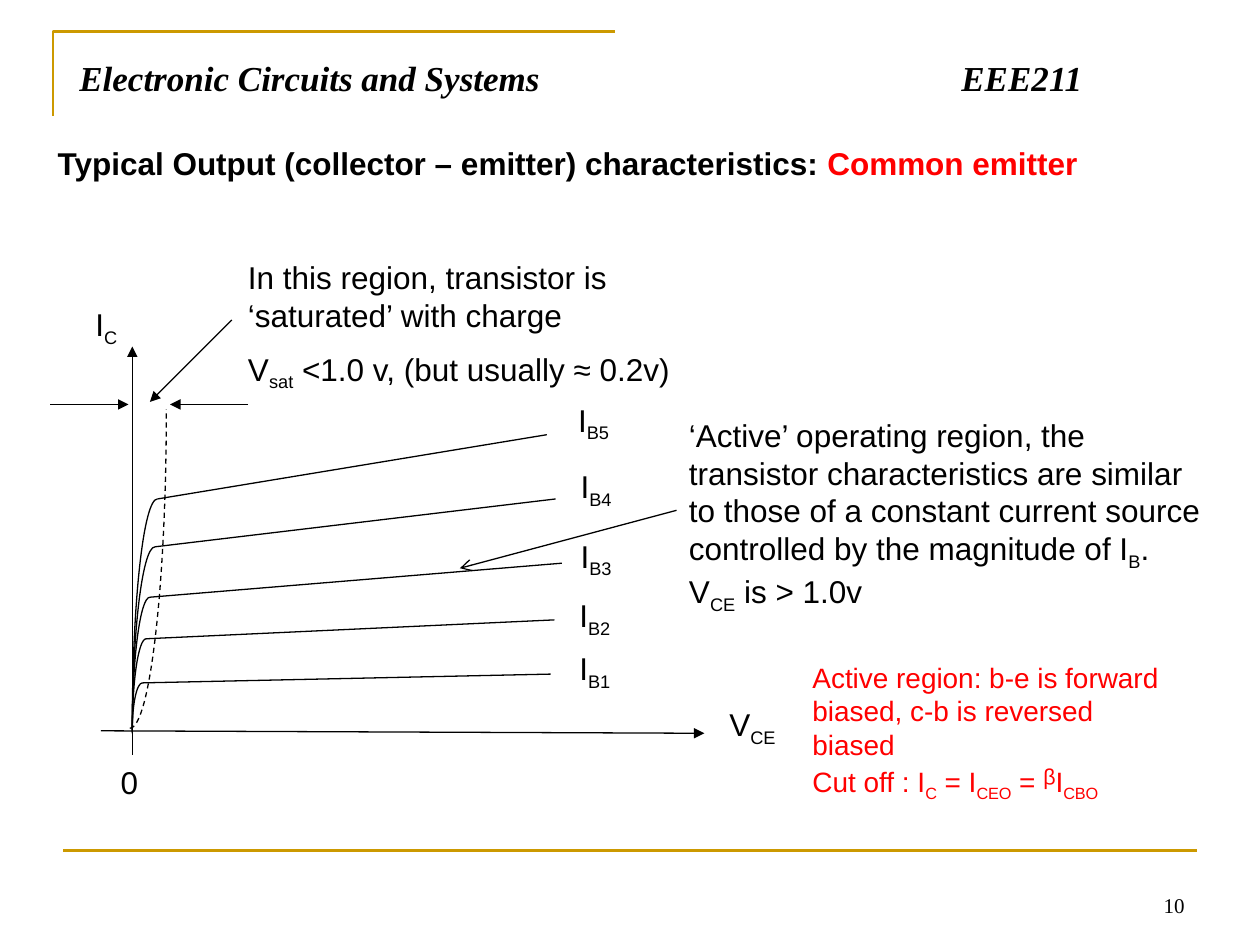
from lxml.etree import SubElement
from pptx import Presentation
from pptx.dml.color import RGBColor
from pptx.enum.dml import MSO_LINE
from pptx.enum.shapes import MSO_CONNECTOR
from pptx.enum.text import MSO_ANCHOR, PP_ALIGN
from pptx.oxml.ns import qn
from pptx.util import Inches, Pt

BLACK, RED, GOLD = "000000", "FF0000", "CC9900"
SERIF, SANS = "Times New Roman", "Arial"

# In all texts, ~ switches subscript on and off.
TITLE = "Electronic Circuits and Systems\t\t\t   \tEEE211"
# box (left, top, width, height), size, colour, paragraphs of (text, own style)
NOTES = [
    ((0.36, 1.09, 8.87, 0.4), 18, BLACK, [
        [("Typical Output (collector – emitter) characteristics: ", {"bold": True}),
         ("Common emitter", {"bold": True, "color": RED})]]),
    ((1.87, 2, 4.03, 1.37), 18, BLACK, [
        [("In this region, transistor is ‘saturated’ with charge", {})],
        [("V~sat~ <1.0 v, (but usually ≈ 0.2v)", {})]]),
    ((5.37, 3.25, 4.34, 1.61), 18, BLACK, [
        [("‘Active’ operating region, the transistor characteristics are similar to those "
          "of a constant current source controlled by the magnitude of I~B~.  V~CE~ is > 1.0v", {})]]),
    ((6.35, 5.19, 3.14, 1.21), 16, RED, [
        [("Active region: b-e is forward biased, c-b is reversed biased", {})],
        [("Cut off : I~C~ = I~CEO~ = ", {}), ("ᵝ", {"size": 18}), ("I~CBO~", {})]]),
]
AXIS_LABELS = [("0", 0.86, 6.01, 0.47), ("I~C~", 0.66, 2.37, 0.47), ("V~CE~", 5.69, 5.55, 0.66)]

ORIGIN_X = 1.05
# base current, label position, knee of the curve, foot of the curve, end of the active line
CURVES = [
    ("I~B1~", (4.5, 5.1), (1.13, 5.42), 5.79, (4.37, 5.35)),
    ("I~B2~", (4.5, 4.68), (1.16, 5.07), 5.8, (4.4, 4.92)),
    ("I~B3~", (4.51, 4.21), (1.19, 4.74), 5.81, (4.46, 4.47)),
    ("I~B4~", (4.51, 3.66), (1.23, 4.34), 5.82, (4.41, 3.96)),
    ("I~B5~", (4.49, 3.13), (1.25, 3.96), 5.78, (4.34, 3.45)),
]
ARROWS = [  # start, end, arrowhead at the end
    ((ORIGIN_X, 5.99), (ORIGIN_X, 2.75), "triangle"),
    ((0.8, 5.8), (5.59, 5.82), "triangle"),
    ((1.97, 3.21), (1.35, 3.21), "triangle"),
    ((0.4, 3.21), (1.02, 3.21), "triangle"),
    ((1.84, 2.54), (1.19, 3.19), "triangle"),
    ((5.37, 4.05), (3.65, 4.51), "arrow"),
]
ARC_HANDLE = 0.55  # control point distance of a quarter ellipse, as a share of its radius


def rgb(color):
    return RGBColor.from_string(color)


def place(shape, box):
    shape.left, shape.top, shape.width, shape.height = map(Inches, box)


def style_line(shape, color, width):
    shape.line.color.rgb = rgb(color)
    shape.line.width = Pt(width)


def add_line(slide, start, end, color=BLACK, width=0.75, arrowhead=None):
    line = slide.shapes.add_connector(MSO_CONNECTOR.STRAIGHT, *map(Inches, start + end))
    style_line(line, color, width)
    if arrowhead:
        SubElement(line.line._get_or_add_ln(), qn("a:tailEnd"), type=arrowhead)
    SubElement(line._element.spPr, qn("a:effectLst"))


def add_outline(slide, points, color=BLACK, width=0.75):
    """Draw an open, unfilled line through the points."""
    first, *others = [tuple(map(Inches, point)) for point in points]
    builder = slide.shapes.build_freeform(*first)
    builder.add_line_segments(others, close=False)
    outline = builder.convert_to_shape()
    outline.fill.background()
    outline.shadow.inherit = False
    style_line(outline, color, width)
    return outline


def add_quarter_arc(slide, start, end):
    """Draw a quarter ellipse that leaves start horizontally and reaches end vertically."""
    arc = add_outline(slide, [start, end])
    handles = [
        (start[0] + ARC_HANDLE * (end[0] - start[0]), start[1]),
        (end[0], end[1] + ARC_HANDLE * (start[1] - end[1])),
    ]
    segment = next(arc._element.iter(qn("a:lnTo")))
    segment.tag = qn("a:cubicBezTo")
    for position, (x, y) in enumerate(handles):
        point = SubElement(segment, qn("a:pt"), x=str(Inches(x) - arc.left), y=str(Inches(y) - arc.top))
        segment.insert(position, point)
    return arc


def add_runs(paragraph, text, size=18, color=BLACK, font=SANS, bold=False, italic=False):
    for index, part in enumerate(text.split("~")):
        if not part:
            continue
        run = paragraph.add_run()
        run.text = part
        run.font.name, run.font.size = font, Pt(size)
        run.font.bold, run.font.italic = bold, italic
        run.font.color.rgb = rgb(color)
        if index % 2:
            run.font._element.set("baseline", "-25000")


def add_text(slide, box, paragraphs, size=18, color=BLACK, gap=0, font=SANS):
    text_box = slide.shapes.add_textbox(*map(Inches, box))
    frame = text_box.text_frame
    frame.word_wrap = True
    for index, parts in enumerate(paragraphs):
        paragraph = frame.paragraphs[0] if index == 0 else frame.add_paragraph()
        paragraph.space_before = Pt(gap if index else 0)
        for text, style in parts:
            add_runs(paragraph, text, **{"size": size, "color": color, "font": font, **style})
    return frame


def add_frame(slide):
    add_outline(slide, [(0.42, 0.92), (0.42, 0.25), (4.88, 0.25)], GOLD, 1.5)
    add_line(slide, (0.5, 6.75), (9.5, 6.75), GOLD, 1.5)
    number = add_text(slide, (7.17, 6.83, 2.33, 0.5), [[("10", {})]], 12, font=SERIF)
    number.vertical_anchor = MSO_ANCHOR.BOTTOM
    number.paragraphs[0].alignment = PP_ALIGN.RIGHT

    title = slide.shapes.title
    place(title, (0.53, 0.4, 8.92, 0.61))
    title.text_frame.vertical_anchor = MSO_ANCHOR.TOP
    paragraph = title.text_frame.paragraphs[0]
    paragraph.alignment = PP_ALIGN.LEFT
    paragraph._p.get_or_add_pPr().set("defTabSz", str(Inches(1)))
    add_runs(paragraph, TITLE, 20, font=SERIF, bold=True, italic=True)


def add_characteristics(slide):
    for label, position, knee, foot, end in CURVES:
        add_quarter_arc(slide, knee, (ORIGIN_X, foot))
        add_line(slide, end, knee)
        add_text(slide, (*position, 0.76, 0.47), [[(label, {})]])
    saturation_limit = add_quarter_arc(slide, (1.03, 5.78), (1.32, 3.25))
    saturation_limit.line.dash_style = MSO_LINE.DASH
    for start, end, arrowhead in ARROWS:
        add_line(slide, start, end, arrowhead=arrowhead)
    for label, left, top, width in AXIS_LABELS:
        add_text(slide, (left, top, width, 0.47), [[(label, {})]])


def main():
    presentation = Presentation()
    presentation.slide_width, presentation.slide_height = Inches(10), Inches(7.5)
    slide = presentation.slides.add_slide(presentation.slide_layouts[5])
    add_frame(slide)
    add_characteristics(slide)
    for box, size, color, paragraphs in NOTES:
        add_text(slide, box, paragraphs, size, color, gap=9 if size == 18 else 0)
    presentation.save("out.pptx")


if __name__ == "__main__":
    main()
